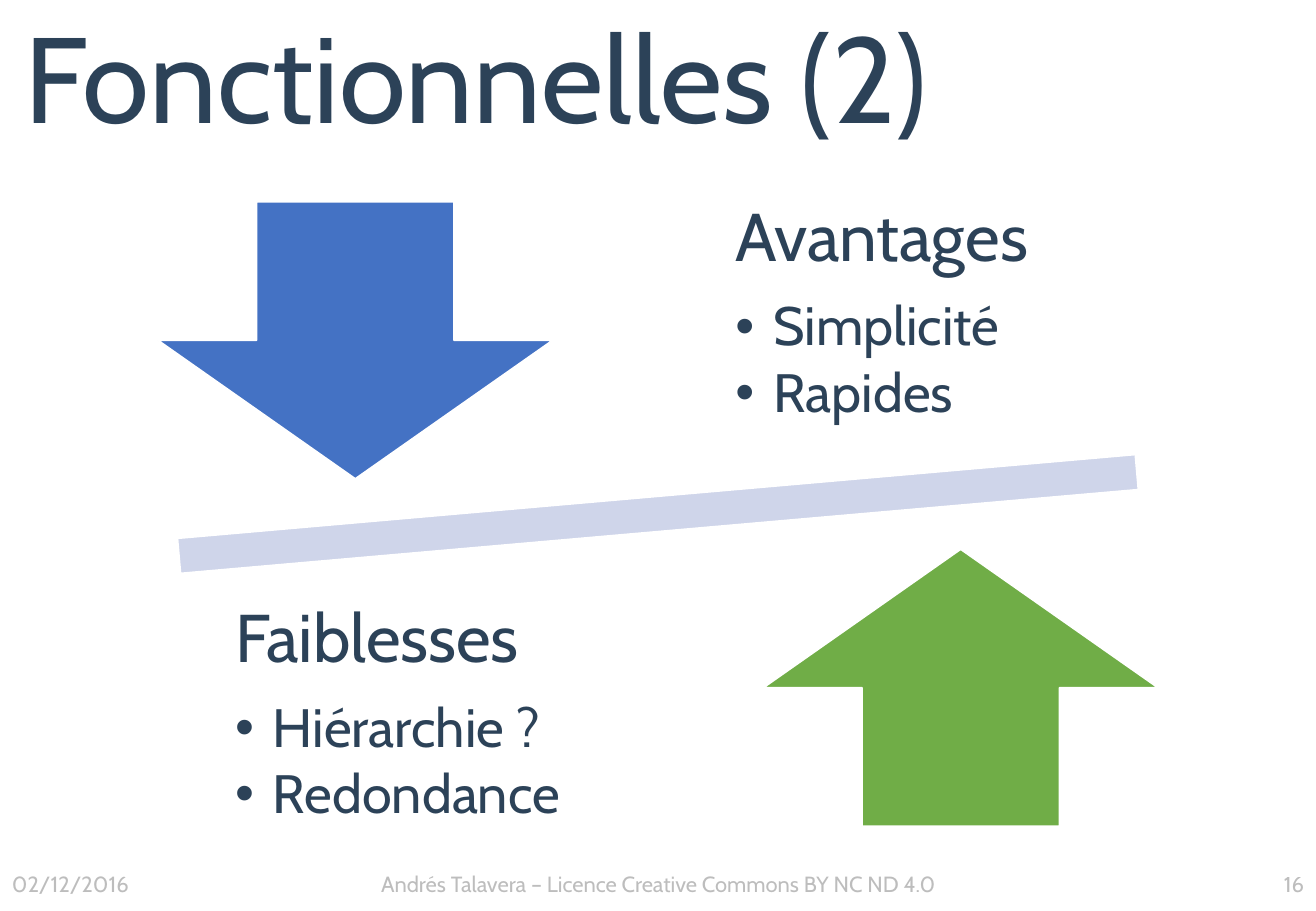
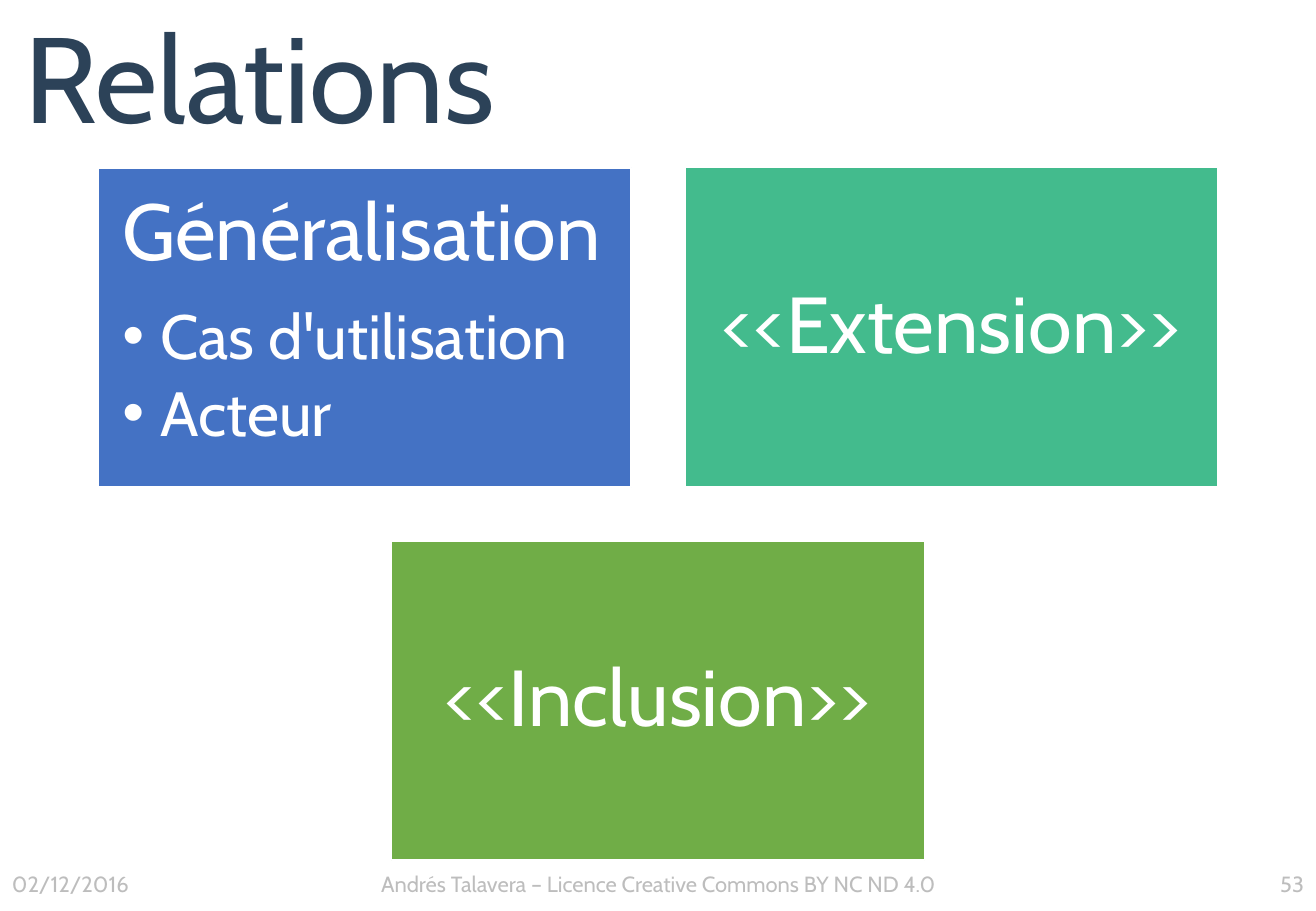
from collections import namedtuple

from lxml.etree import SubElement
from pptx import Presentation
from pptx.dml.color import RGBColor
from pptx.enum.shapes import MSO_SHAPE
from pptx.enum.text import MSO_ANCHOR, MSO_AUTO_SIZE, PP_ALIGN
from pptx.oxml.ns import qn
from pptx.util import Pt

Box = namedtuple("Box", "left top width height")

COLOURS = {
    "ink": "2C4258",
    "white": "FFFFFF",
    "blue": "4472C4",
    "teal": "43BB8D",
    "green": "70AD47",
    "beam": "CFD5EA",
    "footer": "000000",
}
FONT = "Cabin"
SLIDE = Box(0, 0, 780, 540)
TITLE = Box(0, 0, 780, 99.4)
CONTENT = Box(0, 99.4, 780, 410.6)
FOOTER = Box(0, 510.5, 780, 29.5)
FOOTER_OPACITY = 25
FOOTER_DATE = "02/12/2016"
FOOTER_CREDIT = "Andrés Talavera – Licence Creative Commons BY NC ND 4.0"
BULLET_INDENT = 22.5


def rgb(name):
    return RGBColor.from_string(COLOURS[name])


def lengths(box):
    return [Pt(value) for value in box]


def move(shape, box):
    shape.left, shape.top, shape.width, shape.height = lengths(box)


def opposite(box, region):
    return Box(
        2 * region.left + region.width - box.left - box.width,
        2 * region.top + region.height - box.top - box.height,
        box.width,
        box.height,
    )


def paint(shape, colour):
    shape.fill.solid()
    shape.fill.fore_color.rgb = rgb(colour)
    shape.line.color.rgb = rgb("white")
    shape.line.width = Pt(1)


def add_painted(slide, preset, box, colour):
    shape = slide.shapes.add_shape(preset, *lengths(box))
    shape.shadow.inherit = False
    paint(shape, colour)
    return shape


def set_frame(frame, anchor, left, top, right, bottom):
    frame.word_wrap = True
    frame.auto_size = MSO_AUTO_SIZE.NONE
    frame.vertical_anchor = anchor
    frame.margin_left, frame.margin_top = Pt(left), Pt(top)
    frame.margin_right, frame.margin_bottom = Pt(right), Pt(bottom)


def style(paragraph, size, colour, align=PP_ALIGN.LEFT):
    paragraph.alignment = align
    for run in paragraph.runs:
        run.font.name = FONT
        run.font.size = Pt(size)
        run.font.color.rgb = rgb(colour)


def set_bullet(paragraph, bulleted):
    properties = paragraph._p.get_or_add_pPr()
    indent = Pt(BULLET_INDENT) if bulleted else 0
    properties.set("marL", str(indent))
    properties.set("indent", str(-indent))
    if bulleted:
        SubElement(properties, qn("a:buChar")).set("char", "•")
    else:
        SubElement(properties, qn("a:buNone"))


def write_topic(frame, heading, points, sizes, colour, align=PP_ALIGN.LEFT):
    frame.text = "\n".join([heading, *points])
    for number, paragraph in enumerate(frame.paragraphs):
        is_point = number > 0
        size = sizes[is_point]
        paragraph.level = int(is_point)
        paragraph.line_spacing = 0.9
        paragraph.space_before = Pt(0)
        paragraph.space_after = Pt(size * (0.15 if is_point else 0.35))
        set_bullet(paragraph, is_point)
        style(paragraph, size, colour, align)


def write_title(slide, box, text):
    title = slide.shapes.title
    move(title, box)
    frame = title.text_frame
    set_frame(frame, MSO_ANCHOR.MIDDLE, 14.4, 0, 14.4, 0)
    frame.text = text
    frame.paragraphs[0].line_spacing = 0.9
    style(frame.paragraphs[0], 72, "ink")


def add_footer(slide, box, number):
    side = 153.4
    parts = [
        (FOOTER_DATE, side, PP_ALIGN.LEFT),
        (FOOTER_CREDIT, box.width - 2 * side, PP_ALIGN.CENTER),
        (str(number), side, PP_ALIGN.RIGHT),
    ]
    left = box.left
    for text, width, align in parts:
        area = Box(left, box.top, width, box.height)
        frame = slide.shapes.add_textbox(*lengths(area)).text_frame
        set_frame(frame, MSO_ANCHOR.MIDDLE, 7.2, 0, 7.2, 2.9)
        frame.text = text
        paragraph = frame.paragraphs[0]
        style(paragraph, 13, "footer", align)
        tint = paragraph._p.xpath(".//a:srgbClr")[0]
        SubElement(tint, qn("a:alpha")).set("val", str(FOOTER_OPACITY * 1000))
        left += width


def start_slide(deck, layout, title, number):
    slide = deck.slides.add_slide(deck.slide_layouts.get_by_name(layout))
    write_title(slide, TITLE, title)
    add_footer(slide, FOOTER, number)
    return slide


def add_balance(slide, region, topics):
    beam_height = 88.6
    beam = Box(
        region.left + 2.3,
        region.top + (region.height - beam_height) / 2,
        region.width - 4.6,
        beam_height,
    )
    add_painted(slide, MSO_SHAPE.MATH_MINUS, beam, "beam").rotation = 355

    down = Box(region.left + 93.6, region.top + 20.2, 234, 164.2)
    add_painted(slide, MSO_SHAPE.DOWN_ARROW, down, "blue")
    add_painted(slide, MSO_SHAPE.UP_ARROW, opposite(down, region), "green")

    upper = Box(region.left + 413.4, region.top, 249.8, 172.8)
    bodies = list(slide.placeholders)[1:]
    for body, box, (heading, points) in zip(
        bodies, [upper, opposite(upper, region)], topics
    ):
        move(body, box)
        set_frame(body.text_frame, MSO_ANCHOR.MIDDLE, *[22.5] * 4)
        write_topic(body.text_frame, heading, points, (40, 32), "ink")


def add_cards(slide, region, rows):
    width, gap = 316, 31.8
    height = (region.height - gap * (len(rows) - 1)) / len(rows)
    for row_number, row in enumerate(rows):
        row_width = len(row) * width + (len(row) - 1) * gap
        row_left = region.left + (region.width - row_width) / 2
        top = region.top + row_number * (height + gap)
        for column, (heading, points, colour) in enumerate(row):
            box = Box(row_left + column * (width + gap), top, width, height)
            if points:
                card = slide.placeholders[1]
                move(card, box)
                paint(card, colour)
                anchor, align = MSO_ANCHOR.TOP, PP_ALIGN.LEFT
            else:
                card = add_painted(slide, MSO_SHAPE.RECTANGLE, box, colour)
                anchor, align = MSO_ANCHOR.MIDDLE, PP_ALIGN.CENTER
            frame = card.text_frame
            set_frame(frame, anchor, *[14.4] * 4)
            write_topic(frame, heading, points, (47, 37), "white", align)


def main():
    deck = Presentation()
    deck.slide_width, deck.slide_height = Pt(SLIDE.width), Pt(SLIDE.height)

    functional = start_slide(deck, "Two Content", "Fonctionnelles (2)", 16)
    add_balance(
        functional,
        CONTENT,
        [
            ("Avantages", ["Simplicité", "Rapides"]),
            ("Faiblesses", ["Hiérarchie ?", "Redondance"]),
        ],
    )

    relations = start_slide(deck, "Title and Content", "Relations", 53)
    add_cards(
        relations,
        CONTENT,
        [
            [
                ("Généralisation", ["Cas d'utilisation", "Acteur"], "blue"),
                ("<<Extension>>", [], "teal"),
            ],
            [("<<Inclusion>>", [], "green")],
        ],
    )

    deck.save("out.pptx")


if __name__ == "__main__":
    main()
